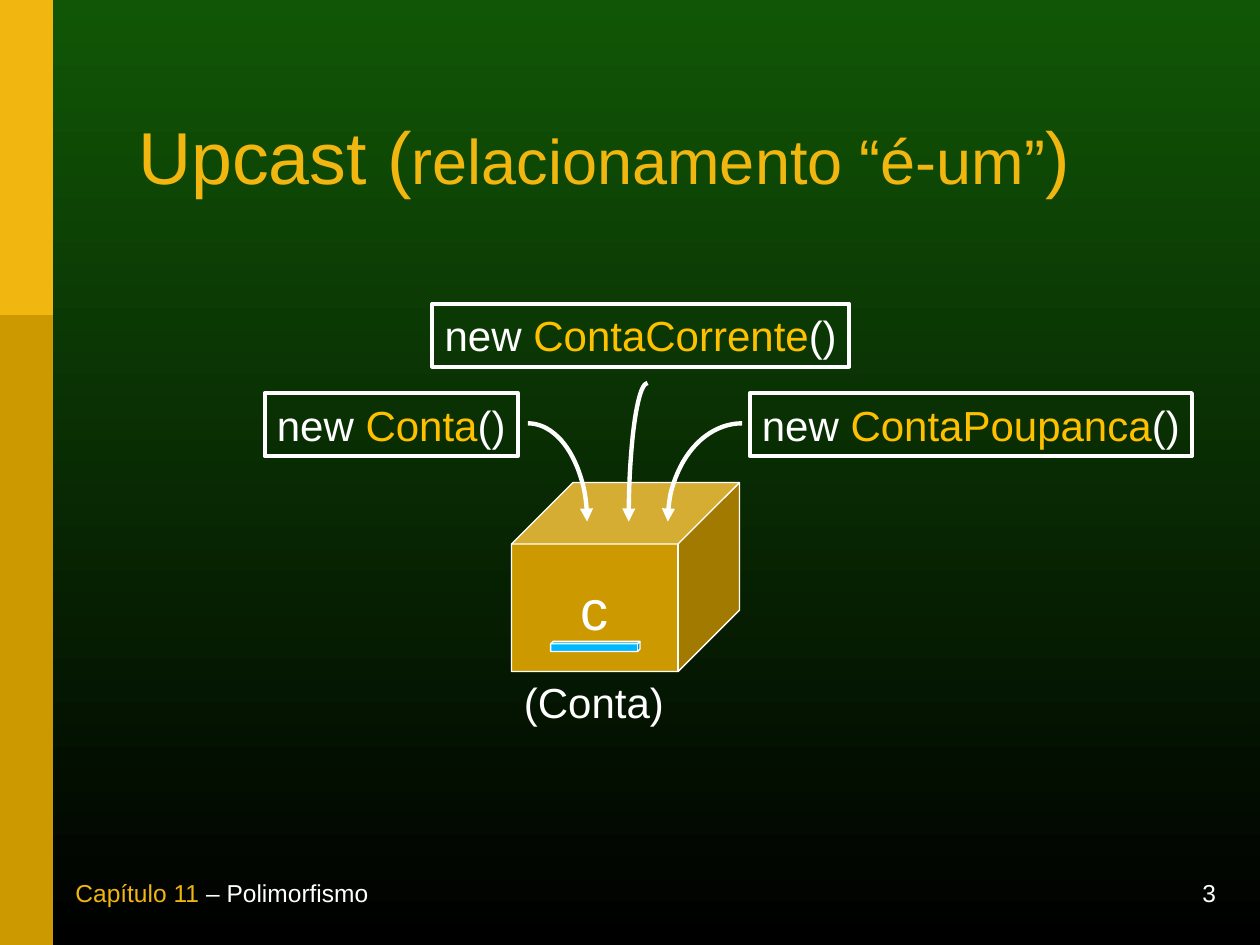
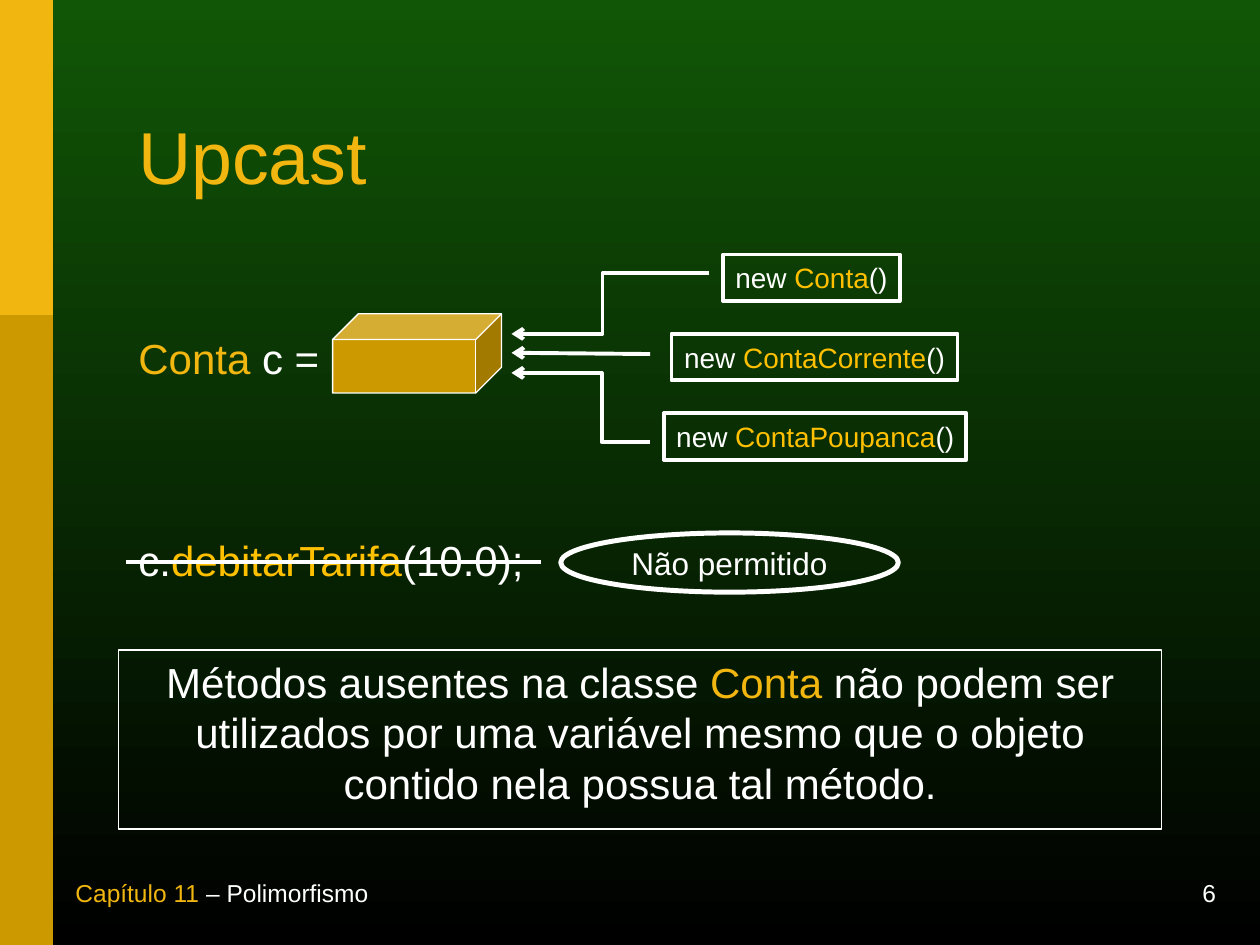
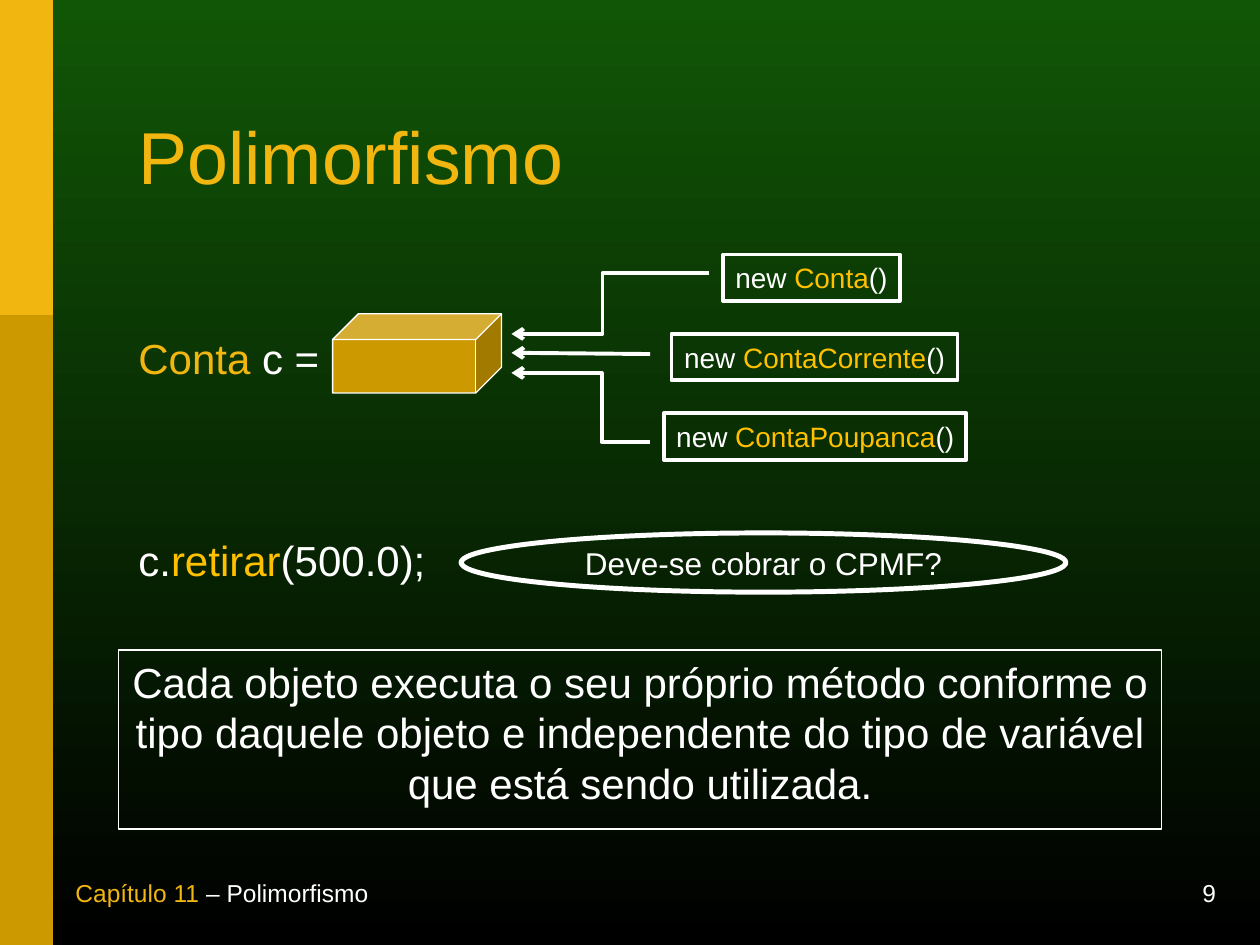
import pptx
import pptx.util
import pptx.dml.color
import pptx.enum.shapes
import pptx.enum.text
import pptx.oxml.ns
import lxml.etree

Inches = pptx.util.Inches
Pt = pptx.util.Pt
RGBColor = pptx.dml.color.RGBColor
SHAPE = pptx.enum.shapes.MSO_SHAPE
CONNECTOR = pptx.enum.shapes.MSO_CONNECTOR
ALIGN = pptx.enum.text.PP_ALIGN
ANCHOR = pptx.enum.text.MSO_ANCHOR
qn = pptx.oxml.ns.qn

GREEN = RGBColor(0x11, 0x56, 0x06)
BLACK = RGBColor(0x00, 0x00, 0x00)
WHITE = RGBColor(0xFF, 0xFF, 0xFF)
GOLD = RGBColor(0xF1, 0xB6, 0x0F)
OCHRE = RGBColor(0xCC, 0x99, 0x00)
AMBER = RGBColor(0xFF, 0xC0, 0x00)
BLUE = RGBColor(0x00, 0xB8, 0xFF)

FONT = "Arial"
LEADING = 1.2
CUBE_DEPTH = 0.325


class Deck:
    """Holds the shared style and the slide being built."""

    def __init__(self):
        self.prs = pptx.Presentation()
        self.prs.slide_width = Inches(10)
        self.prs.slide_height = Inches(7.5)
        self.s = None

    def slide(self, number, title):
        """Start a slide with background, bands, footer and title runs."""
        self.s = self.prs.slides.add_slide(self.prs.slide_layouts[6])
        fill = self.s.background.fill
        fill.gradient()
        fill.gradient_angle = 270
        for stop, position, color in zip(fill.gradient_stops, (0, 1), (GREEN, BLACK)):
            stop.position = position
            stop.color.rgb = color
        self.shape(SHAPE.RECTANGLE, 0, 0, 0.42, 7.5, fill=OCHRE)
        self.shape(SHAPE.RECTANGLE, 0, 0, 0.42, 2.5, fill=GOLD)
        self.text(7.25, 7, 2.5, 0.25, [[(str(number), WHITE)]], 14,
                  align=ALIGN.RIGHT, anchor=ANCHOR.BOTTOM)
        self.text(0.5, 7, 4.42, 0.25,
                  [[("Capítulo 11", GOLD), (" – Polimorfismo", WHITE)]], 14,
                  anchor=ANCHOR.BOTTOM)
        self.text(1, 0.64, 8.24, 1.29, [title], 42,
                  anchor=ANCHOR.MIDDLE, spacing=0.85)

    def fill_text(self, sp, paragraphs, size, align=ALIGN.LEFT, anchor=ANCHOR.TOP,
                  wrap=True, spacing=None, gap=0):
        """Fill a shape; each run is (text, colour) or (text, colour, size)."""
        tf = sp.text_frame
        tf.word_wrap = wrap
        tf.vertical_anchor = anchor
        for i, runs in enumerate(paragraphs):
            p = tf.add_paragraph() if i else tf.paragraphs[0]
            p.alignment = align
            p.line_spacing = spacing or Pt(size * LEADING)
            if i:
                p.space_before = Pt(gap)
            for text, color, *own_size in runs:
                r = p.add_run()
                r.text = text
                r.font.name = FONT
                r.font.size = Pt(own_size[0] if own_size else size)
                r.font.color.rgb = color

    def text(self, x, y, w, h, paragraphs, size, **style):
        sp = self.s.shapes.add_textbox(Inches(x), Inches(y), Inches(w), Inches(h))
        self.fill_text(sp, paragraphs, size, **style)

    def shape(self, kind, x, y, w, h, fill=None, line=None):
        """Add a preset shape; line is a white outline width in points."""
        sp = self.s.shapes.add_shape(kind, Inches(x), Inches(y), Inches(w), Inches(h))
        sp.shadow.inherit = False
        if fill is None:
            sp.fill.background()
        else:
            sp.fill.solid()
            sp.fill.fore_color.rgb = fill
        if line is None:
            sp.line.fill.background()
        else:
            self.outline(sp, line)
        return sp

    def outline(self, sp, width):
        sp.line.color.rgb = WHITE
        sp.line.width = Pt(width)

    def arrowhead(self, sp, end, kind):
        ln = sp._element.spPr.find(qn("a:ln"))
        lxml.etree.SubElement(ln, qn(f"a:{end}"), type=kind)

    def cube(self, x, y, w, h, fill=OCHRE, depth=CUBE_DEPTH):
        sp = self.shape(SHAPE.CUBE, x, y, w, h, fill, 0.75)
        sp.adjustments[0] = depth
        return sp

    def label(self, class_name, x, y, w, h, size):
        """Add a framed constructor call."""
        sp = self.shape(SHAPE.RECTANGLE, x, y, w, h, line=2.25)
        runs = [("new ", WHITE), (class_name, AMBER), ("()", WHITE)]
        self.fill_text(sp, [runs], size, align=ALIGN.CENTER, wrap=False)

    def curve(self, start, tip):
        """Draw a quarter ellipse that leaves start sideways and drops to tip."""
        rx, ry = abs(tip[0] - start[0]), tip[1] - start[1]
        sp = self.shape(SHAPE.ARC, start[0] - rx, start[1], 2 * rx, 2 * ry, line=2.5)
        if tip[0] < start[0]:
            # Angles are in 60000ths of a degree, scaled by 100000
            sp.adjustments[0], sp.adjustments[1] = 108, 162
            self.arrowhead(sp, "headEnd", "triangle")
        else:
            self.arrowhead(sp, "tailEnd", "triangle")

    def connector(self, start, end, bend=None, arrow=True):
        """Join two points; bend is the share of the way to the elbow."""
        kind = CONNECTOR.STRAIGHT if bend is None else CONNECTOR.ELBOW
        c = self.s.shapes.add_connector(kind, *(Inches(v) for v in start + end))
        self.outline(c, 2.25)
        if arrow:
            self.arrowhead(c, "tailEnd", "arrow")
        spPr = c._element.spPr
        lxml.etree.SubElement(spPr, qn("a:effectLst"))
        if bend is not None:
            guides = spPr.find(qn("a:prstGeom")).get_or_add_avLst()
            lxml.etree.SubElement(guides, qn("a:gd"), name="adj1",
                                  fmla=f"val {round(bend * 100000)}")

    def variable_diagram(self, method, argument, remark, x, w, conclusion, struck=False):
        """Show what c may hold, a call on it, a remark and the conclusion."""
        self.text(1, 2.59, 8.3, 2.27, [
            [("Conta", GOLD), (" c =", WHITE)],
            [("c.", WHITE), (method, AMBER), (f"({argument});", WHITE)],
        ], 24, gap=3 * 24 * LEADING)
        self.cube(2.64, 2.49, 1.34, 0.63)
        for i, (name, left, width) in enumerate((
                ("Conta", 5.74, 1.4),
                ("ContaCorrente", 5.33, 2.27),
                ("ContaPoupanca", 5.27, 2.4))):
            self.label(name, left, 2.02 + 0.63 * i, width, 0.37, 16)
        self.connector((5.16, 3.51), (4.06, 2.96), bend=0.35)
        self.connector((5.63, 2.17), (4.06, 2.65), bend=0.54)
        self.connector((5.16, 2.81), (4.06, 2.8))
        box = self.shape(SHAPE.RECTANGLE, 0.94, 5.16, 8.28, 1.42, line=0.75)
        self.fill_text(box, [conclusion], 24, align=ALIGN.CENTER)
        if struck:
            self.connector((1, 4.46), (4.29, 4.46), arrow=False)
        oval = self.shape(SHAPE.OVAL, x, 4.23, w, 0.47, line=2.83)
        self.fill_text(oval, [[(remark, WHITE)]], 18, align=ALIGN.CENTER,
                       anchor=ANCHOR.MIDDLE, wrap=False)


def main():
    deck = Deck()

    deck.slide(3, [("Upcast (", GOLD), ("relacionamento “é-um”", GOLD, 36), (")", GOLD)])
    variable = deck.cube(4.06, 3.83, 1.81, 1.5)
    deck.fill_text(variable, [[("c", WHITE)]], 32, align=ALIGN.CENTER,
                   anchor=ANCHOR.MIDDLE, wrap=False)
    deck.cube(4.37, 5.09, 0.71, 0.08, BLUE, 0.25)
    deck.label("Conta", 2.1, 3.12, 2.01, 0.5, 24)
    deck.label("ContaCorrente", 3.43, 2.41, 3.31, 0.5, 24)
    deck.label("ContaPoupanca", 5.95, 3.12, 3.51, 0.5, 24)
    deck.curve((5.89, 3.36), (5.3, 4.14))
    deck.curve((4.19, 3.36), (4.66, 4.14))
    deck.curve((5.14, 3.04), (4.99, 4.14))
    deck.text(4.06, 5.32, 1.31, 0.5, [[("(Conta)", WHITE)]], 24, wrap=False)

    deck.slide(6, [("Upcast", GOLD)])
    deck.variable_diagram("debitarTarifa", "10.0", "Não permitido", 4.45, 2.68, [
        ("Métodos ausentes na classe ", WHITE),
        ("Conta", GOLD),
        (" não podem ser utilizados por uma variável mesmo que o objeto "
         "contido nela possua tal método.", WHITE),
    ], struck=True)

    deck.slide(9, [("Polimorfismo", GOLD)])
    deck.variable_diagram("retirar", "500.0", "Deve-se cobrar o CPMF?", 3.66, 4.8, [
        ("Cada objeto executa o seu próprio método conforme o tipo daquele objeto "
         "e independente do tipo de variável que está sendo utilizada.", WHITE),
    ])

    deck.prs.save("out.pptx")


if __name__ == "__main__":
    main()
